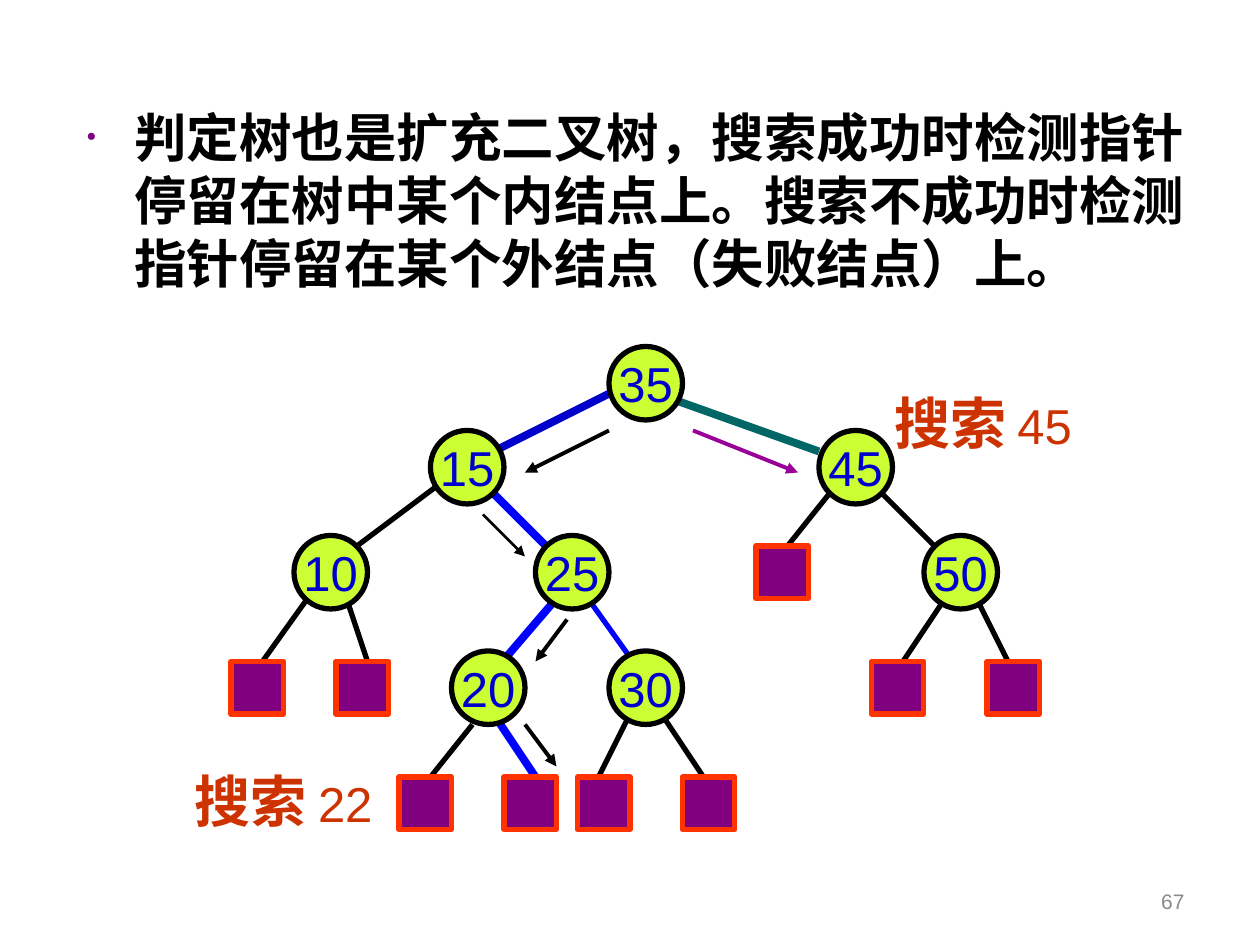
import lxml.etree
import pptx
import pptx.dml.color
import pptx.enum.shapes
import pptx.enum.text
import pptx.oxml.ns
import pptx.util

Cm = pptx.util.Cm
Pt = pptx.util.Pt
RGBColor = pptx.dml.color.RGBColor
Shape = pptx.enum.shapes.MSO_SHAPE
Align = pptx.enum.text.PP_ALIGN
Anchor = pptx.enum.text.MSO_ANCHOR
qn = pptx.oxml.ns.qn

BLACK = RGBColor(0x00, 0x00, 0x00)
GREY = RGBColor(0x89, 0x89, 0x89)
LIME = RGBColor(0xCC, 0xFF, 0x33)
NAVY = RGBColor(0x00, 0x00, 0xCC)
BLUE = RGBColor(0x00, 0x00, 0xFF)
TEAL = RGBColor(0x00, 0x66, 0x66)
PURPLE = RGBColor(0x80, 0x00, 0x80)
VIOLET = RGBColor(0x99, 0x00, 0x99)
RED = RGBColor(0xFF, 0x33, 0x00)
RUST = RGBColor(0xCC, 0x33, 0x00)

STATEMENT = (
    "判定树也是扩充二叉树，搜索成功时检测指针停留在树中某个内结点上。"
    "搜索不成功时检测指针停留在某个外结点（失败结点）上。"
)
NODE_SIZE = 7
LEAF_SIZE = 5
NODES = [
    ("35", 58, 33), ("15", 41, 41), ("45", 78, 41), ("50", 88, 51),
    ("25", 51, 51), ("10", 28, 51), ("20", 43, 62), ("30", 58, 62),
]
LEAVES = [
    (22, 63), (32, 63), (38, 74), (48, 74), (55, 74),
    (65, 74), (72, 52), (83, 63), (94, 63),
]
EDGES = [
    (47, 68, 51, 74, BLUE, 4.5),
    (63, 68, 67, 74, BLACK, 3),
    (93, 57, 96, 63, BLACK, 3),
    (33, 57, 35, 63, BLACK, 3),
    (90, 57, 86, 63, BLACK, 3),
    (60, 68, 57, 74, BLACK, 3),
    (45, 69, 41, 74, BLACK, 3),
    (30, 56, 25, 63, BLACK, 3),
    (64, 38, 78, 43, TEAL, 4.5),
    (84, 47, 89, 52, BLACK, 3),
    (59, 37, 47, 43, NAVY, 4.5),
    (56, 57, 61, 64, BLUE, 3),
    (79, 47, 75, 52, BLACK, 3),
    (53, 57, 47, 64, BLUE, 4.5),
    (42, 46, 34, 52, BLACK, 3),
    (46, 46, 52, 52, BLUE, 4.5),
]
ARROWS = [
    (58, 41, 50, 45, BLACK, 2.25),
    (46, 49, 50, 53, BLACK, 1.5),
    (54, 59, 51, 63, BLACK, 2.25),
    (50, 69, 53, 73, BLACK, 2.25),
    (66, 41, 76, 45, VIOLET, 2.25),
]


def grid(steps):
    """Return the length of grid steps, twelve to the inch."""
    return Cm(steps * 2.54 / 12)


def set_font(font, name, size, color, bold=False):
    """Format the font of a paragraph or a run."""
    font.name = name
    font.size = Pt(size)
    font.color.rgb = color
    font.bold = bold


def add_text_box(slide, left, top, width, height, wrap=True):
    """Add a text box and return its frame and first paragraph."""
    box = slide.shapes.add_textbox(Cm(left), Cm(top), Cm(width), Cm(height))
    box.text_frame.word_wrap = wrap
    return box.text_frame, box.text_frame.paragraphs[0]


def add_statement(slide):
    """Add the bulleted statement above the tree."""
    _, paragraph = add_text_box(slide, 1.5, 2, 23.5, 4.42)
    paragraph.text = STATEMENT
    properties = paragraph._p.get_or_add_pPr()
    properties.set("marL", str(Cm(0.96)))
    properties.set("indent", str(-Cm(0.96)))
    color = lxml.etree.SubElement(properties, qn("a:buClr"))
    lxml.etree.SubElement(color, qn("a:srgbClr"), val=str(PURPLE))
    lxml.etree.SubElement(properties, qn("a:buSzPct"), val="50000")
    lxml.etree.SubElement(properties, qn("a:buFont"), typeface="Arial")
    lxml.etree.SubElement(properties, qn("a:buChar"), char="•")
    set_font(paragraph.font, "Calibri", 30, BLACK, True)


def add_page_number(slide):
    """Add the page number at the lower right."""
    frame, paragraph = add_text_box(slide, 18.2, 17.65, 5.93, 1.02)
    frame.vertical_anchor = Anchor.MIDDLE
    paragraph.text = "67"
    paragraph.alignment = Align.RIGHT
    set_font(paragraph.font, "Arial", 12, GREY)


def add_search_label(slide, key, left, top):
    """Add a label that names the key searched for."""
    _, paragraph = add_text_box(slide, left, top, 4.14, 1.63, wrap=False)
    word = paragraph.add_run()
    word.text = "搜索"
    set_font(word.font, "Times New Roman", 32, RUST, True)
    number = paragraph.add_run()
    number.text = f" {key}"
    set_font(number.font, "Arial", 28, RUST)


def add_line(slide, start_x, start_y, end_x, end_y, color, width, arrow=False):
    """Add a tree edge, or a search step when it has an arrowhead."""
    connector = slide.shapes.add_connector(
        pptx.enum.shapes.MSO_CONNECTOR.STRAIGHT,
        grid(start_x), grid(start_y), grid(end_x), grid(end_y),
    )
    connector.line.color.rgb = color
    connector.line.width = Pt(width)
    if arrow:
        line = connector.line._get_or_add_ln()
        lxml.etree.SubElement(line, qn("a:tailEnd"), type="triangle")
    lxml.etree.SubElement(connector._element.spPr, qn("a:effectLst"))


def add_outlined_shape(slide, kind, left, top, size, fill, outline):
    """Add a filled shape of equal sides and return it."""
    shape = slide.shapes.add_shape(
        kind, grid(left), grid(top), grid(size), grid(size)
    )
    shape.shadow.inherit = False
    shape.fill.solid()
    shape.fill.fore_color.rgb = fill
    shape.line.color.rgb = outline
    shape.line.width = Pt(3)
    return shape


def add_node(slide, key, left, top):
    """Add an inner node with its key."""
    shape = add_outlined_shape(
        slide, Shape.OVAL, left, top, NODE_SIZE, LIME, BLACK
    )
    frame = shape.text_frame
    frame.word_wrap = False
    frame.vertical_anchor = Anchor.MIDDLE
    paragraph = frame.paragraphs[0]
    paragraph.text = key
    paragraph.alignment = Align.CENTER
    set_font(paragraph.font, "Arial", 28, NAVY)


def main():
    """Build the search tree slide and save it."""
    presentation = pptx.Presentation()
    presentation.slide_width = Cm(25.4)
    presentation.slide_height = Cm(19.05)
    slide = presentation.slides.add_slide(presentation.slide_layouts[6])
    add_statement(slide)
    add_page_number(slide)
    for edge in EDGES:
        add_line(slide, *edge)
    for node in NODES:
        add_node(slide, *node)
    for left, top in LEAVES:
        add_outlined_shape(
            slide, Shape.RECTANGLE, left, top, LEAF_SIZE, PURPLE, RED
        )
    for arrow in ARROWS:
        add_line(slide, *arrow, arrow=True)
    add_search_label(slide, "22", 3.68, 15.32)
    add_search_label(slide, "45", 17.78, 7.7)
    presentation.save("out.pptx")


if __name__ == "__main__":
    main()
